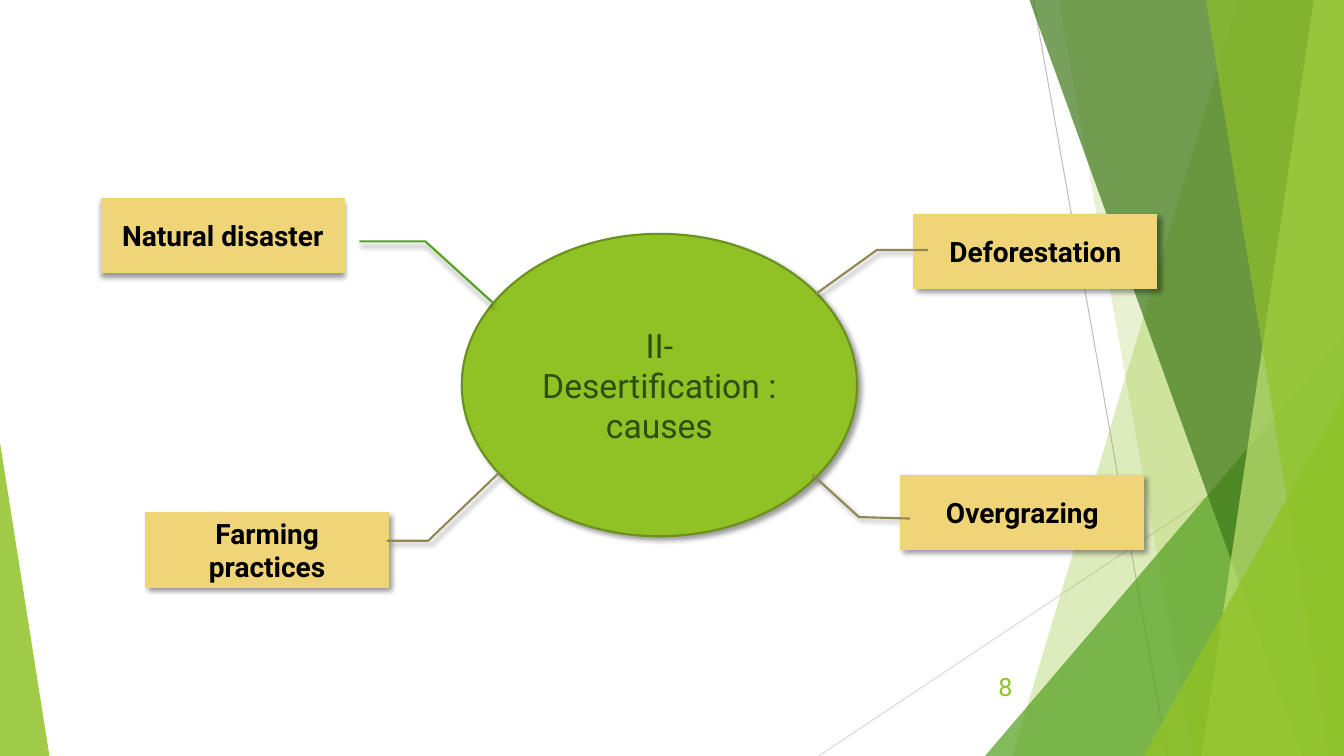
from dataclasses import dataclass

from lxml import etree
from pptx import Presentation
from pptx.dml.color import RGBColor
from pptx.enum.shapes import MSO_CONNECTOR, MSO_SHAPE
from pptx.enum.text import MSO_ANCHOR, PP_ALIGN
from pptx.oxml.ns import qn
from pptx.util import Pt

PX = 9144  # 100 px to the inch
SLIDE_W, SLIDE_H = 1333, 750
LABEL_W, LABEL_H = 242, 75

TRIANGLE = MSO_SHAPE.ISOSCELES_TRIANGLE
OVAL = MSO_SHAPE.OVAL
CALLOUT = MSO_SHAPE.LINE_CALLOUT_2_NO_BORDER
STRAIGHT = MSO_CONNECTOR.STRAIGHT
MIDDLE = MSO_ANCHOR.MIDDLE
CENTER, RIGHT = PP_ALIGN.CENTER, PP_ALIGN.RIGHT


@dataclass(frozen=True)
class Theme:
    font: str = "Roboto"
    lime: str = "90C226"
    lime_edge: str = "6B901C"
    pale_lime: str = "C0E474"
    green: str = "54A021"
    forest: str = "3F7819"
    topic_text: str = "2A5010"
    sand: str = "F0D578"
    leader: str = "918655"
    black: str = "000000"
    grey: str = "BFBFBF"
    light_grey: str = "D9D9D9"
    topic_size: int = 24
    label_size: int = 20
    number_size: int = 18
    outline: float = 1.5
    hairline: float = 0.75


THEME = Theme()


def rgb(colour):
    return RGBColor.from_string(colour)


def px(*lengths):
    return [length * PX for length in lengths]


def paint(shape, colour, opacity=100):
    """Give a shape a flat fill with no outline or shadow."""
    shape.shadow.inherit = False
    shape.fill.solid()
    shape.fill.fore_color.rgb = rgb(colour)
    shape.line.fill.background()
    if opacity < 100:
        clr = shape._element.spPr.find(qn("a:solidFill")).find(qn("a:srgbClr"))
        etree.SubElement(clr, qn("a:alpha"), val=str(opacity * 1000))


def outline(shape, colour, width):
    shape.line.color.rgb = rgb(colour)
    shape.line.width = Pt(width)


def cast_shadow(shape, angle):
    effects = shape._element.spPr.find(qn("a:effectLst"))
    shadow = etree.SubElement(
        effects, qn("a:outerShdw"), blurRad=str(Pt(4)), dist=str(Pt(3)),
        dir=str(angle * 60000), algn="tl", rotWithShape="0")
    clr = etree.SubElement(shadow, qn("a:srgbClr"), val=THEME.black)
    etree.SubElement(clr, qn("a:alpha"), val="40000")


def write(shape, text, size, colour, align=CENTER, bold=False):
    tf = shape.text_frame
    tf.word_wrap = True
    tf.vertical_anchor = MIDDLE
    p = tf.paragraphs[0]
    p.alignment = align
    r = p.add_run()
    r.text = text
    r.font.name = THEME.font
    r.font.size = Pt(size)
    r.font.bold = bold
    r.font.color.rgb = rgb(colour)


def add_hairline(s, x1, y1, x2, y2, colour):
    line = s.shapes.add_connector(STRAIGHT, *px(x1, y1, x2, y2))
    outline(line, colour, THEME.hairline)
    etree.SubElement(line._element.spPr, qn("a:effectLst"))


def add_blade(s, box, top_x, bottom_x, colour, opacity):
    """Fill from a slanted left edge to the right side of the box."""
    x, y, w, h = box
    builder = s.shapes.build_freeform(x + top_x, y, scale=PX)
    builder.add_line_segments([(x + w, y), (x + w, y + h), (x + bottom_x, y + h)])
    paint(builder.convert_to_shape(), colour, opacity)


def add_corner(s, box, w, h, colour, opacity, on_right=True):
    """Fill a bottom corner of the box with a right triangle."""
    x, y, box_w, box_h = box
    left = x + box_w - w if on_right else x
    corner = s.shapes.add_shape(TRIANGLE, *px(left, y + box_h - h, w, h))
    corner.adjustments[0] = 1 if on_right else 0
    paint(corner, colour, opacity)


def add_backdrop(s, box):
    x, y, w, h = box
    add_hairline(s, x + 1025, y, x + 1158, y + h, THEME.grey)
    add_hairline(s, x + w, y + 403, x + 812, y + h, THEME.light_grey)
    add_blade(s, box, 1228, 1004, THEME.lime, 30)
    add_blade(s, box, 1050, 1183, THEME.lime, 20)
    add_corner(s, box, 356, 417, THEME.green, 72)
    add_blade(s, box, 1021, 1291, THEME.forest, 70)
    add_blade(s, box, 1303, 1192, THEME.pale_lime, 70)
    add_blade(s, box, 1196, 1318, THEME.lime, 65)
    add_corner(s, box, 199, 357, THEME.lime, 80)
    add_corner(s, box, 49, 311, THEME.lime, 85, on_right=False)


def add_page_number(s, box, number):
    write(s.shapes.add_textbox(*px(*box)), number, THEME.number_size, THEME.lime, RIGHT)


def add_topic(s, box, text):
    topic = s.shapes.add_shape(OVAL, *px(*box))
    paint(topic, THEME.lime)
    outline(topic, THEME.lime_edge, THEME.outline)
    cast_shadow(topic, 45)
    write(topic, text, THEME.topic_size, THEME.topic_text)


def add_cause(s, box, text, leader, colour=THEME.leader, shadow_angle=45):
    """Add a label; leader holds its three (y, x) points as shares of the box."""
    cause = s.shapes.add_shape(CALLOUT, *px(*box))
    for i, share in enumerate(leader):
        cause.adjustments[i] = share
    paint(cause, THEME.sand)
    outline(cause, colour, THEME.outline)
    cast_shadow(cause, shadow_angle)
    write(cause, text, THEME.label_size, THEME.black, bold=True)


def add_cause_map(s, box):
    x, y, _, _ = box
    add_topic(s, (x + 358, y + 36, 392, 300), "II-Desertification : causes")
    causes = [
        (44, 312, "Farming practices", (0.38, 0.99, 0.38, 1.16, -0.52, 1.45)),
        (793, 275, "Overgrazing", (0.58, 0.04, 0.56, -0.17, 0, -0.36)),
        (806, 16, "Deforestation", (0.48, 0.06, 0.48, -0.15, 1.06, -0.4)),
        (0, 0, "Natural disaster", (0.58, 1.06, 0.58, 1.33, 1.4, 1.61),
         THEME.green, 90),
    ]
    for left, top, *details in causes:
        add_cause(s, (x + left, y + top, LABEL_W, LABEL_H), *details)


def main():
    prs = Presentation()
    prs.slide_width, prs.slide_height = px(SLIDE_W, SLIDE_H)
    s = prs.slides.add_slide(prs.slide_layouts[6])
    add_backdrop(s, (0, 0, SLIDE_W, SLIDE_H))
    add_page_number(s, (939, 661, 75, 40), "8")
    add_cause_map(s, (100, 196, 1048, 387))
    prs.save("out.pptx")


if __name__ == "__main__":
    main()
